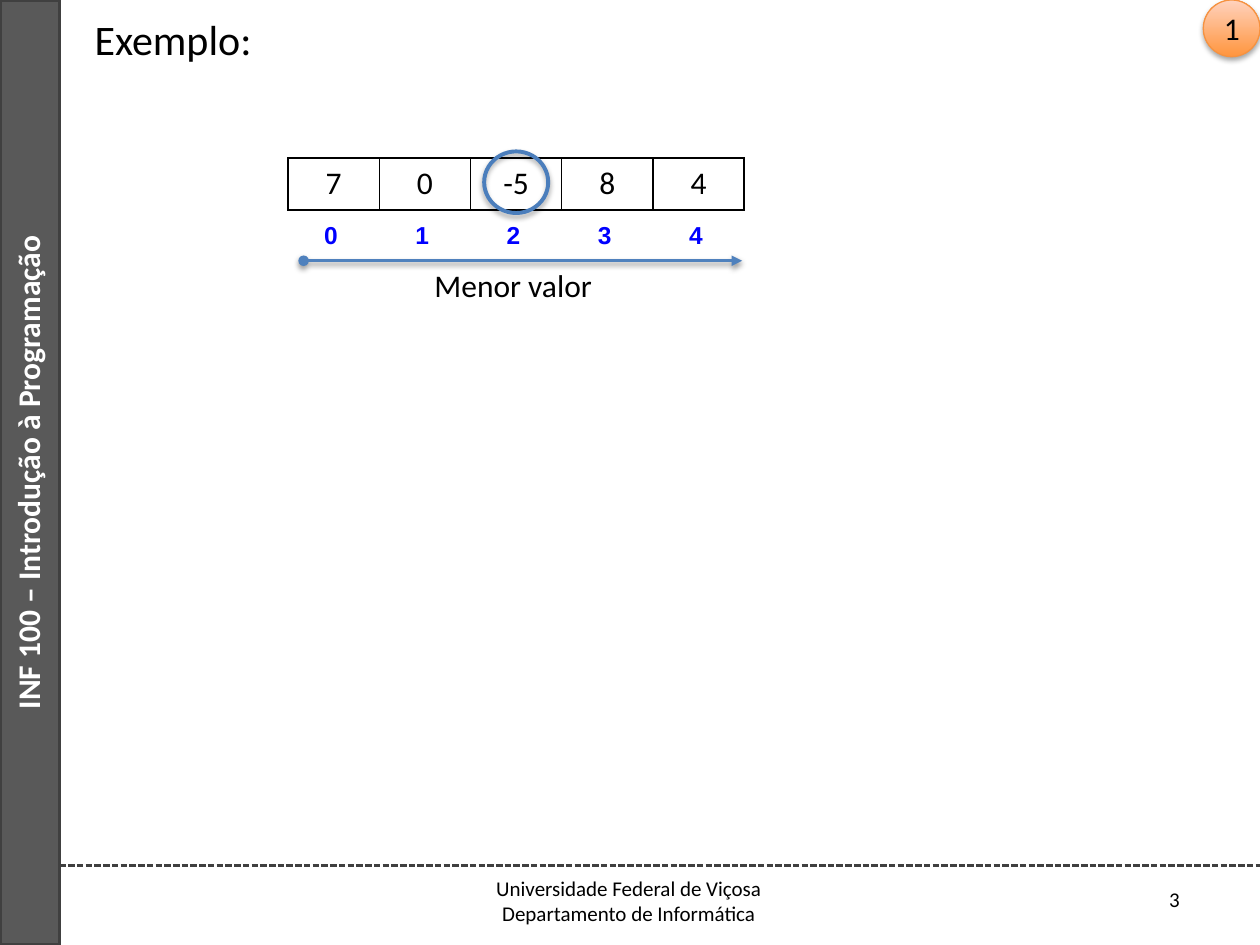
from pptx import Presentation
from pptx.dml.color import RGBColor
from pptx.enum import dml, shapes, text
from pptx.oxml import parse_xml
from pptx.oxml.ns import nsdecls
from pptx.util import Pt

COURSE = "INF 100 – Introdução à Programação"
TITLE = "Exemplo:"
STEP = "1"
VALUES = ["7", "0", "-5", "8", "4"]
INDEXES = [str(index) for index in range(len(VALUES))]
CAPTION = "Menor valor"
FOOTER = ["Universidade Federal de Viçosa", "Departamento de Informática"]
PAGE = "3 "

WIDTH, HEIGHT = 720, 540
SIDEBAR = 34
FOOTER_TOP = 494.6
CELL_W, CELL_H = 52.15, 29.5
VALUES_AT = (164.6, 90.4)
INDEXES_AT = (163.1, 119.9)
RING_W, RING_H = 36.6, 35.2

THEME = {
    "ink": "000000", "paper": "FFFFFF", "sidebar": "595959", "rule": "404040",
    "accent": "4F81BD", "ring": "4B7EBC", "index": "0000FF",
    "badge": ("FF953E", "FFD2BD"), "badge_edge": "F69240",
    "title": 24, "body": 18, "index_size": 14, "small": 12,
    "face": "Calibri", "index_face": "Arial",
}
LEFT, CENTER, RIGHT = (text.PP_ALIGN.LEFT, text.PP_ALIGN.CENTER, text.PP_ALIGN.RIGHT)
TOP, MIDDLE = text.MSO_ANCHOR.TOP, text.MSO_ANCHOR.MIDDLE


def rgb(name):
    return RGBColor.from_string(THEME.get(name, name))


def set_all(target, values):
    for name, value in values.items():
        setattr(target, name, value)


def write(frame, lines, size="body", color="ink", face="face", bold=False, align=CENTER):
    frame.text = "\n".join(lines)
    for paragraph in frame.paragraphs:
        paragraph.alignment = align
        for run in paragraph.runs:
            set_all(run.font, {"name": THEME[face], "size": Pt(THEME[size]), "bold": bold})
            run.font.color.rgb = rgb(color)


def add_text(slide, box, lines, wrap=False, **style):
    label = slide.shapes.add_textbox(*map(Pt, box))
    set_all(label.text_frame, {"word_wrap": wrap,
                               "auto_size": text.MSO_AUTO_SIZE.SHAPE_TO_FIT_TEXT})
    write(label.text_frame, lines, **style)
    return label


def set_line(line, color, width):
    line.color.rgb = rgb(color)
    line.width = Pt(width)


def set_shadow(shape, opacity=0, distance=0):
    """Give the shape a downward shadow, or none when opacity is 0."""
    shadow = (f'<a:outerShdw blurRad="{Pt(3.1)}" dist="{Pt(distance)}" dir="5400000" '
              f'rotWithShape="0"><a:srgbClr val="{THEME["ink"]}">'
              f'<a:alpha val="{opacity * 1000}"/></a:srgbClr></a:outerShdw>') if opacity else ""
    shape._element.spPr.append(
        parse_xml(f'<a:effectLst {nsdecls("a")}>{shadow}</a:effectLst>'))


def add_shape(slide, kind, box, line, width, shadow=(0, 0)):
    shape = slide.shapes.add_shape(kind, *map(Pt, box))
    shape.fill.background()
    set_line(shape.line, line, width)
    set_shadow(shape, *shadow)
    return shape


def add_line(slide, start, end, color, width, shadow=(0, 0)):
    line = slide.shapes.add_connector(shapes.MSO_CONNECTOR.STRAIGHT, *map(Pt, start + end))
    set_line(line.line, color, width)
    set_shadow(line, *shadow)
    return line


def add_row(slide, at, items, border=None, **style):
    table = slide.shapes.add_table(
        1, len(items), *map(Pt, at), Pt(CELL_W * len(items)), Pt(CELL_H)).table
    set_all(table, {"first_row": False, "horz_banding": False})
    paint = (f'<a:solidFill><a:srgbClr val="{THEME[border]}"/></a:solidFill>'
             if border else "<a:noFill/>")
    for column, item in enumerate(items):
        table.columns[column].width = Pt(CELL_W)
        cell = table.cell(0, column)
        for side in "LRTB":
            cell._tc.get_or_add_tcPr().append(parse_xml(
                f'<a:ln{side} {nsdecls("a")} w="{Pt(1)}">{paint}</a:ln{side}>'))
        cell.fill.background()
        cell.vertical_anchor = MIDDLE
        write(cell.text_frame, [item], **style)


def add_frame(slide):
    """Draw the sidebar and footer."""
    sidebar = add_shape(slide, shapes.MSO_SHAPE.RECTANGLE, (0, 0, SIDEBAR, HEIGHT), "rule", 2)
    sidebar.fill.solid()
    sidebar.fill.fore_color.rgb = rgb("sidebar")
    course = add_text(slide, (-254.2, 255.6, HEIGHT, 28.8), [COURSE], wrap=True,
                      color="paper", bold=True)
    course.rotation = 270
    add_text(slide, (655.2, 503.3, 28.8, 21.6), [PAGE], size="small", align=RIGHT)
    rule = add_line(slide, (SIDEBAR, FOOTER_TOP), (WIDTH, FOOTER_TOP), "rule", 1.25)
    rule.line.dash_style = dml.MSO_LINE.SQUARE_DOT
    add_text(slide, (274.7, 496.8, 169.2, 36), FOOTER, size="small")


def add_title(slide):
    title = slide.shapes.title
    set_all(title, {"left": Pt(46.8), "top": Pt(4.3), "width": Pt(673.2), "height": Pt(36)})
    set_all(title.text_frame, {"vertical_anchor": TOP, "word_wrap": True,
                               "auto_size": text.MSO_AUTO_SIZE.SHAPE_TO_FIT_TEXT})
    write(title.text_frame, [TITLE], size="title", align=LEFT)


def add_badge(slide):
    side = 32.4
    badge = add_shape(slide, shapes.MSO_SHAPE.OVAL, (WIDTH - side, 0, side, side),
                      "badge_edge", 0.75, (35, 1.8))
    badge.fill.gradient()
    badge.fill.gradient_angle = 90
    for stop, color, position in zip(badge.fill.gradient_stops, THEME["badge"], (0, 1)):
        stop.color.rgb = rgb(color)
        stop.position = position
    badge.text_frame.vertical_anchor = MIDDLE
    write(badge.text_frame, [STEP])


def add_array(slide):
    """Draw the values with the smallest ringed, their indexes and the scan arrow."""
    add_row(slide, VALUES_AT, VALUES, border="ink")
    smallest = VALUES.index(min(VALUES, key=int))
    left, top = VALUES_AT
    center = left + CELL_W * (smallest + 0.5)
    middle = top + CELL_H / 2 - 1
    add_shape(slide, shapes.MSO_SHAPE.OVAL,
              (center - RING_W / 2, middle - RING_H / 2, RING_W, RING_H),
              "ring", 2.25, (35, 1.8))
    add_row(slide, INDEXES_AT, INDEXES, size="index_size", color="index",
            face="index_face", bold=True)
    scan = add_line(slide, (173.5, 149), (424.1, 149), "accent", 2, (38, 1.6))
    for end, kind in (("headEnd", "oval"), ("tailEnd", "triangle")):
        scan.line._get_or_add_ln().append(
            parse_xml(f'<a:{end} {nsdecls("a")} type="{kind}"/>'))
    add_text(slide, (241.2, 148.3, 105.8, 28.8), [CAPTION], align=LEFT)


def main():
    deck = Presentation()
    set_all(deck, {"slide_width": Pt(WIDTH), "slide_height": Pt(HEIGHT)})
    slide = deck.slides.add_slide(deck.slide_layouts[5])
    add_frame(slide)
    add_title(slide)
    add_badge(slide)
    add_array(slide)
    deck.save("out.pptx")


if __name__ == "__main__":
    main()
